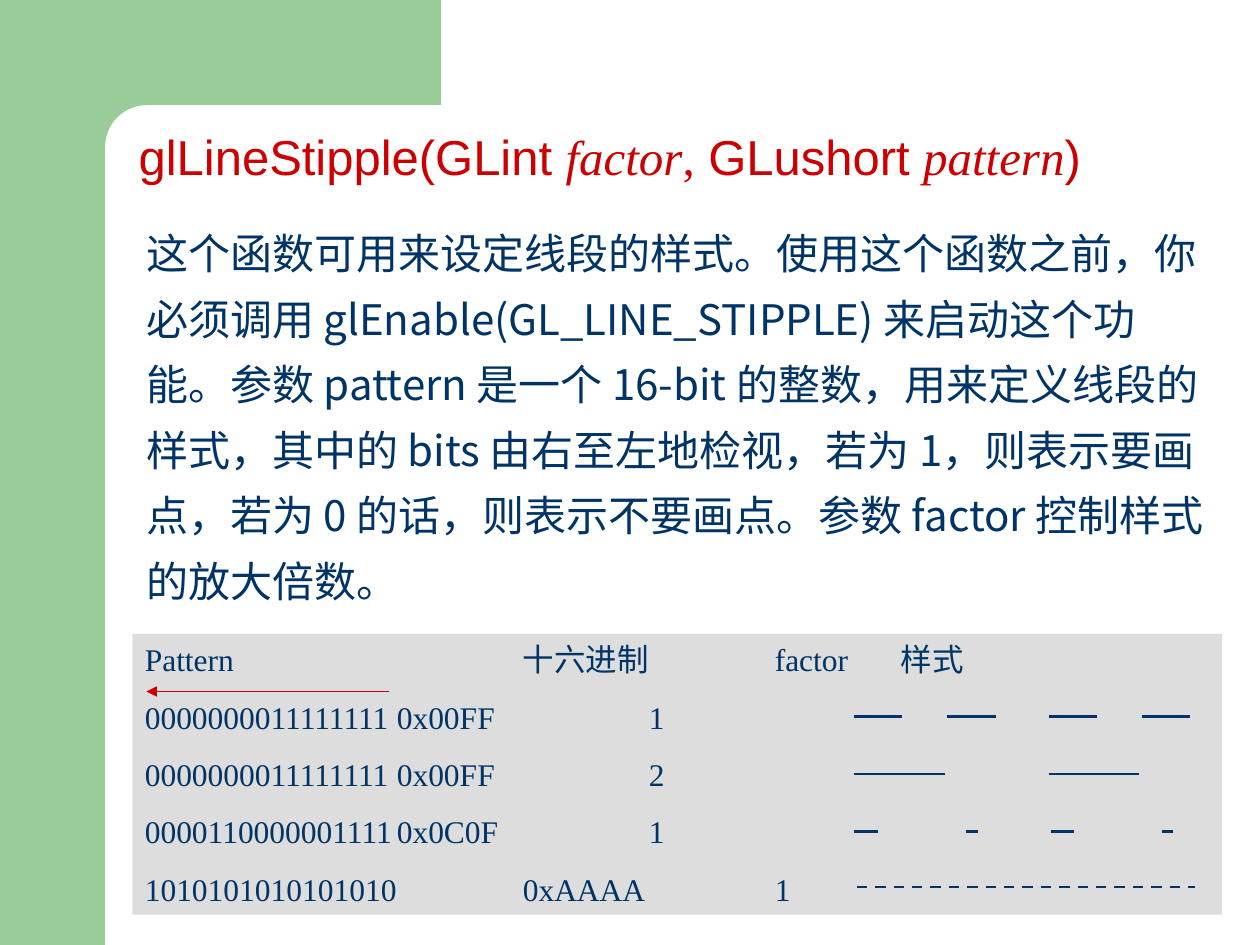
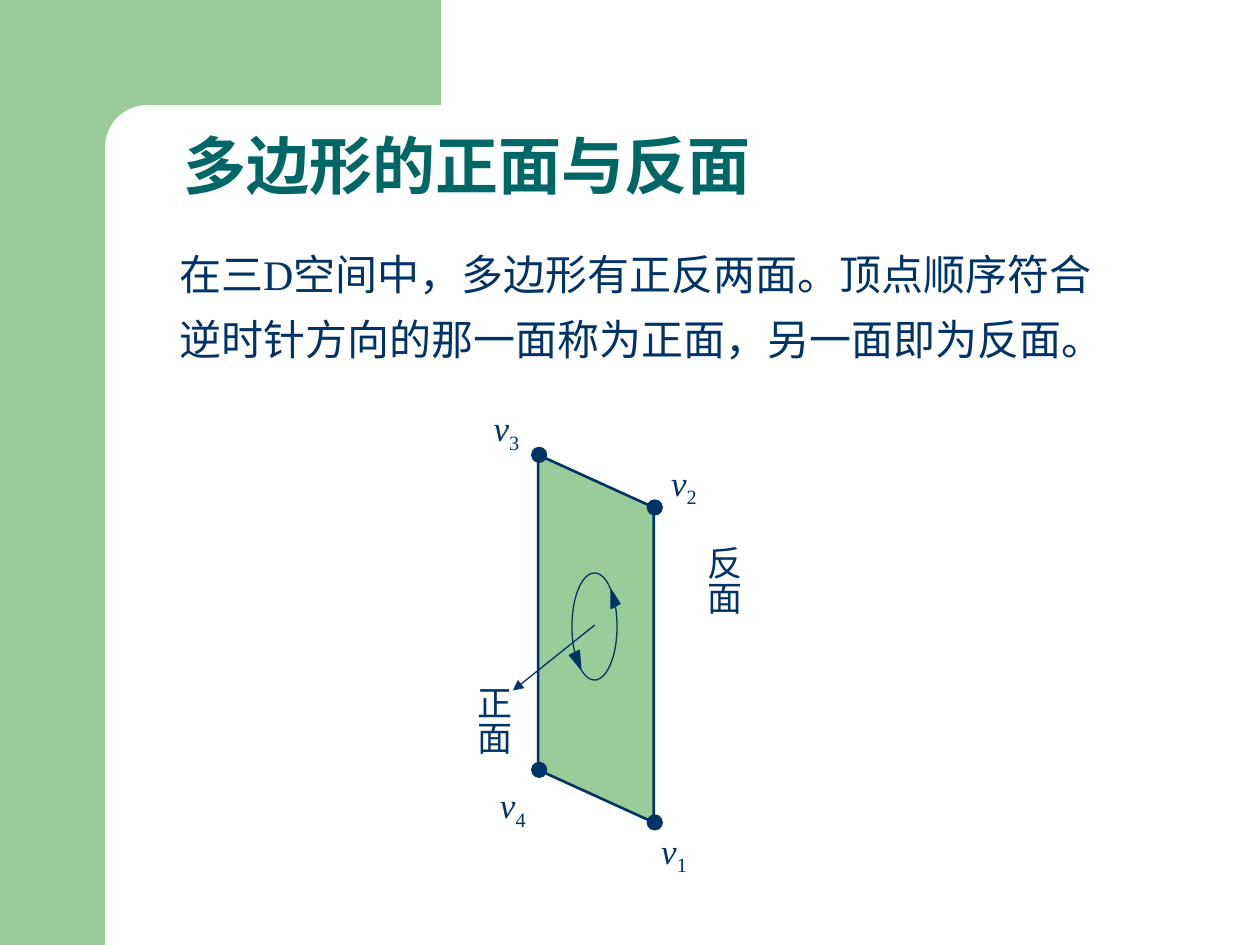
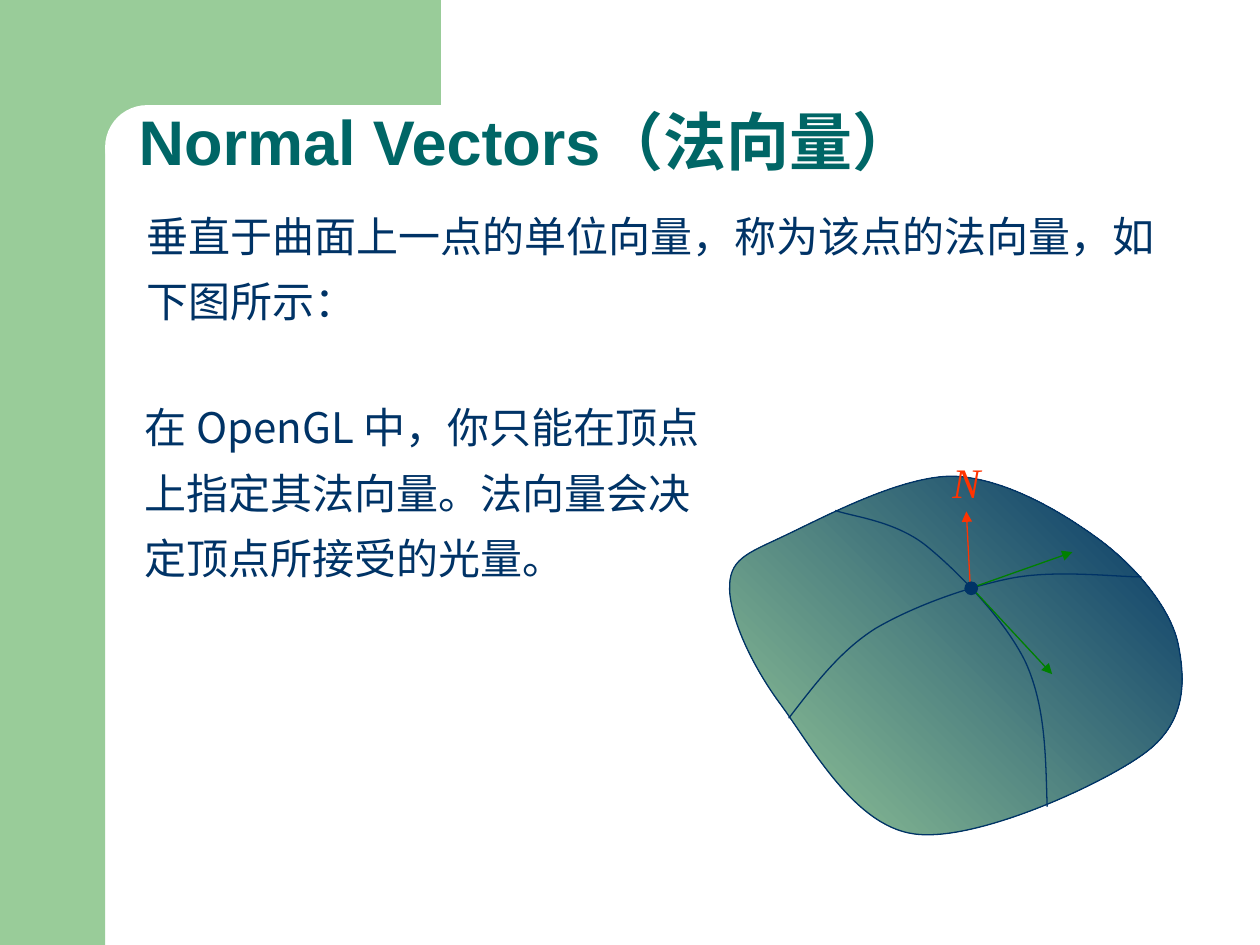
from lxml import etree
from pptx import Presentation
from pptx import util as u
from pptx.dml.color import RGBColor
from pptx.enum import dml, shapes, text
from pptx.oxml import ns

Cm, Pt = u.Cm, u.Pt

GREEN = RGBColor(0x99, 0xCC, 0x99)
NAVY = RGBColor(0x00, 0x33, 0x66)
TEAL = RGBColor(0x00, 0x66, 0x66)
RED = RGBColor(0xCC, 0x00, 0x00)
ORANGE = RGBColor(0xFF, 0x33, 0x00)
TANGENT_GREEN = RGBColor(0x00, 0x80, 0x00)
GREY = RGBColor(0xDD, 0xDD, 0xDD)
WHITE = RGBColor(0xFF, 0xFF, 0xFF)

SANS, SERIF, CHINESE = "Arial", "Times New Roman", "Noto Sans CJK SC"
TAB_STOPS = [2.54 * i for i in range(1, 8)]


def sub(parent, tag, **attributes):
    return etree.SubElement(parent, ns.qn(tag), attributes)


class Builder:
    def __init__(self):
        self.deck = Presentation()
        self.deck.slide_width, self.deck.slide_height = Cm(25.4), Cm(19.05)
        self.layout = self.deck.slide_layouts[5]
        self.page = None

    def new_page(self):
        self.page = self.deck.slides.add_slide(self.layout)

    def bands(self):
        """Draw the green corner and move it to the layout all pages share."""
        rectangle = shapes.MSO_SHAPE.RECTANGLE
        corner = [self.shape(rectangle, (0, 0, 2.12, 19.05), GREEN),
                  self.shape(rectangle, (1.9, 0, 6.99, 2.96), GREEN),
                  self.shape(shapes.MSO_SHAPE.ROUNDED_RECTANGLE,
                             (2.12, 2.12, 14.17, 1.69), WHITE)]
        corner[2].adjustments[0] = 0.5
        tree = self.layout.shapes._spTree
        for i, band in enumerate(corner):
            band._element.nvSpPr.cNvPr.set("id", str(100 + i))
            tree.insert(2 + i, band._element)

    # Text
    def paragraph(self, para, spans, size, font, color, bold=None, italic=None,
                  spacing=None, before=None):
        """Fill a paragraph; a span is a string or (string, font changes)."""
        para.alignment = text.PP_ALIGN.LEFT
        para.line_spacing = spacing
        if before:
            para.space_before = Pt(before)
        properties = para._p.get_or_add_pPr()
        properties.set("hangingPunct", "0")
        if "\t" in spans[0]:
            tabs = sub(properties, "a:tabLst")
            for stop in TAB_STOPS:
                sub(tabs, "a:tab", pos=str(Cm(stop)), algn="l")
        para.font.size, para.font.name = Pt(size), font
        para.font.bold, para.font.italic = bold, italic
        para.font.color.rgb = color
        sub(para.font._element, "a:ea", typeface=CHINESE)
        for span in spans:
            words, changes = (span, {}) if isinstance(span, str) else span
            run = para.add_run()
            run.text = words
            for key, value in changes.items():
                if key == "baseline":
                    run.font._element.set("baseline", str(value))
                else:
                    setattr(run.font, key, value)

    def title(self, at, spans, size=36, color=TEAL, bold=True,
              anchor=text.MSO_ANCHOR.MIDDLE):
        box = self.page.shapes.title
        box.left, box.top, box.width, box.height = map(Cm, at)
        frame = box.text_frame
        frame.auto_size = text.MSO_AUTO_SIZE.NONE
        frame.vertical_anchor = anchor
        self.paragraph(frame.paragraphs[0], spans, size, SANS, color, bold,
                       spacing=0.9)

    def text(self, at, spans, size=24, font=SERIF, color=NAVY, wrap=True,
             vertical=False, **style):
        box = self.page.shapes.add_textbox(*map(Cm, at))
        frame = box.text_frame
        frame.word_wrap = wrap
        frame.auto_size = text.MSO_AUTO_SIZE.SHAPE_TO_FIT_TEXT
        if vertical:
            frame._txBody.bodyPr.set("vert", "eaVert")
            frame.margin_left = frame.margin_right = Cm(0.13)
            frame.margin_top = frame.margin_bottom = Cm(0.25)
        self.paragraph(frame.paragraphs[0], spans, size, font, color, **style)

    def body(self, at, words, font=SERIF):
        self.text(at, [words], font=font, spacing=1.3)

    # Shapes
    def paint(self, shape, fill=None, line=None, weight=0.75):
        shape.shadow.inherit = False
        if fill is None:
            shape.fill.background()
        else:
            shape.fill.solid()
            shape.fill.fore_color.rgb = fill
        if line is None:
            shape.line.fill.background()
        else:
            shape.line.color.rgb = line
            shape.line.width = Pt(weight)
        return shape

    def shape(self, kind, at, fill, line=None):
        return self.paint(self.page.shapes.add_shape(kind, *map(Cm, at)), fill, line)

    def ellipse(self, at, fill):
        return self.shape(shapes.MSO_SHAPE.OVAL, at, fill, NAVY)

    def dot(self, center, size):
        x, y = center
        self.ellipse((x - size / 2, y - size / 2, size, size), NAVY)

    def outline(self, points, fill=None, weight=0.75, close=True):
        first, *rest = [(Cm(x), Cm(y)) for x, y in points]
        builder = self.page.shapes.build_freeform(*first)
        builder.add_line_segments(rest, close=close)
        return self.paint(builder.convert_to_shape(), fill, NAVY, weight)

    def curve(self, points, close=False):
        """A start, then two controls and an end for each cubic piece."""
        shape = self.outline(points, close=close)
        corners = list(shape._element.iter(ns.qn("a:lnTo")))
        for i in range(0, len(points) - 1, 3):
            piece = etree.Element(ns.qn("a:cubicBezTo"))
            corners[i].addprevious(piece)
            for corner in corners[i:i + 3]:
                piece.append(corner[0])
                corner.getparent().remove(corner)
        return shape

    def line(self, start, end, color=NAVY, weight=1.5, arrow=False, dash=None):
        link = self.page.shapes.add_connector(
            shapes.MSO_CONNECTOR.STRAIGHT, *map(Cm, start + end))
        link.line.color.rgb = color
        link.line.width = Pt(weight)
        if dash:
            link.line.dash_style = dash
        if arrow:
            sub(link.line._get_or_add_ln(), "a:tailEnd", type="triangle")
        sub(link._element.spPr, "a:effectLst")

    def arrow(self, start, end, color=NAVY):
        self.line(start, end, color, 0.75, arrow=True)


def line_stipple(b):
    italic = {"name": SERIF, "italic": True}
    b.title((2.54, 0.7, 22.23, 3.17),
            ["glLineStipple(GLint ", ("factor", italic), (",", {"name": SERIF}),
             " GLushort ", ("pattern", italic), ")"],
            size=28, color=RED, bold=False, anchor=text.MSO_ANCHOR.BOTTOM)
    b.body((2.7, 4.16, 21.92, 8.18),
           "这个函数可用来设定线段的样式。使用这个函数之前，你必须调用 "
           "glEnable(GL_LINE_STIPPLE) 来启动这个功能。参数 pattern 是一个 16-bit "
           "的整数，用来定义线段的样式，其中的 bits 由右至左地检视，若为 1，则表示要画点，"
           "若为 0 的话，则表示不要画点。参数 factor 控制样式的放大倍数。", CHINESE)

    # Pattern panel
    panel = b.shape(shapes.MSO_SHAPE.RECTANGLE, (2.67, 12.78, 21.97, 5.66), GREY)
    frame = panel.text_frame
    frame.word_wrap = True
    frame.vertical_anchor = text.MSO_ANCHOR.TOP
    rows = ["Pattern\t\t\t十六进制\tfactor\t样式",
            "0000000011111111\t0x00FF\t\t1",
            "0000000011111111\t0x00FF\t\t2",
            "0000110000001111\t0x0C0F\t\t1",
            "1010101010101010\t0xAAAA\t\t1"]
    for i, row in enumerate(rows):
        para = frame.add_paragraph() if i else frame.paragraphs[0]
        b.paragraph(para, [row], 18, SERIF, NAVY, before=11.2 if i else None)

    # Line samples: height, then start and length of each stroke
    samples = {14.45: [(17.22, 0.97), (19.1, 0.97), (21.14, 0.97), (23.02, 0.97)],
               15.6: [(17.22, 1.82), (21.14, 1.82)],
               16.76: [(17.22, 0.48), (19.48, 0.23), (21.18, 0.48), (23.42, 0.23)]}
    for y, strokes in samples.items():
        for x, length in strokes:
            b.line((x, y), (x + length, y))
    b.line((17.27, 17.88), (24.08, 17.88), dash=dml.MSO_LINE.DASH)
    b.arrow((7.85, 13.94), (2.95, 13.94), RED)


def polygon_faces(b):
    b.title((3.44, 2.36, 18.31, 2.08), ["多边形的正面与反面"])
    b.body((3.36, 4.58, 19.48, 2.9),
           "在三D空间中，多边形有正反两面。顶点顺序符合逆时针方向的那一面称为正面，"
           "另一面即为反面。")

    # Polygon with its vertices: number, corner, label place
    vertices = [("1", (13.18, 16.58), (13.08, 16.59)),
                ("2", (13.18, 10.23), (13.28, 9.17)),
                ("3", (10.85, 9.17), (9.7, 8.08)),
                ("4", (10.85, 15.52), (9.83, 15.67))]
    b.outline([corner for _, corner, _ in vertices], GREEN, 1.5)
    for number, (x, y), place in vertices:
        b.dot((x + 0.02, y), 0.3)
        b.text(place + (1.02, 1.22),
               [("v", {"italic": True}), (number, {"baseline": -25000})],
               size=20, wrap=False)
    for words, place in (("正面", (9.16, 13.57)), ("反面", (13.79, 10.75))):
        b.text(place + (1.35, 1.68), [words], size=20, wrap=False, vertical=True)

    # Turning direction and facing direction
    b.ellipse((11.53, 11.55, 0.91, 2.16), GREEN)
    b.outline([(12.32, 11.89), (12.32, 12.27), (12.5, 12.17)], NAVY)
    b.outline([(11.71, 13.49), (11.68, 13.11), (11.48, 13.21)], NAVY)
    b.arrow((11.99, 12.6), (10.34, 13.92))


def normal_vectors(b):
    b.title((2.54, 1.88, 22.23, 2.08), ["Normal Vectors（法向量）"])
    b.body((2.7, 3.81, 21.29, 2.9),
           "垂直于曲面上一点的单位向量，称为该点的法向量，如下图所示：")

    # Curved surface
    surface = b.curve([
        (15.88, 10.77),
        (16.64, 10.41), (18.16, 9.6), (19.2, 9.6),
        (20.24, 9.63), (21.39, 10.31), (22.15, 10.87),
        (22.91, 11.43), (23.6, 12.27), (23.75, 12.98),
        (23.9, 13.72), (23.93, 14.58), (23.04, 15.21),
        (22.15, 15.85), (19.63, 16.99), (18.42, 16.81),
        (17.2, 16.64), (16.33, 14.99), (15.7, 14.15),
        (15.09, 13.31), (14.68, 12.34), (14.71, 11.79),
        (14.73, 11.23), (15.14, 11.13), (15.88, 10.77)], close=True)
    surface.fill.gradient()
    surface.fill.gradient_angle = 45
    for stop, color in zip(surface.fill.gradient_stops, (GREEN, NAVY)):
        stop.color.rgb = color
    b.curve([(15.9, 14.48),
             (16.41, 13.82), (16.92, 13.13), (17.65, 12.67),
             (18.42, 12.22), (19.48, 11.84), (20.37, 11.66),
             (21.26, 11.48), (22.48, 11.63), (23.01, 11.63)])
    b.curve([(16.84, 10.29),
             (17.15, 10.41), (18.03, 10.49), (18.67, 11),
             (19.3, 11.51), (20.27, 12.5), (20.68, 13.36),
             (21.08, 14.25), (21.08, 15.24), (21.11, 16.26)])

    # Normal and tangents
    b.arrow((19.56, 11.84), (19.48, 10.31), ORANGE)
    b.arrow((19.58, 11.84), (21.21, 13.59), TANGENT_GREEN)
    b.arrow((19.61, 11.84), (21.62, 11.13), TANGENT_GREEN)
    b.dot((19.58, 11.86), 0.25)
    b.text((18.95, 9.07, 1.07, 1.27), ["N"], color=ORANGE, wrap=False, italic=True)

    b.body((2.67, 7.67, 12.32, 4.22),
           "在 OpenGL 中，你只能在顶点上指定其法向量。法向量会决定顶点所接受的光量。",
           CHINESE)


def main():
    b = Builder()
    b.new_page()
    b.bands()
    line_stipple(b)
    for draw in (polygon_faces, normal_vectors):
        b.new_page()
        draw(b)
    b.deck.save("out.pptx")


if __name__ == "__main__":
    main()
